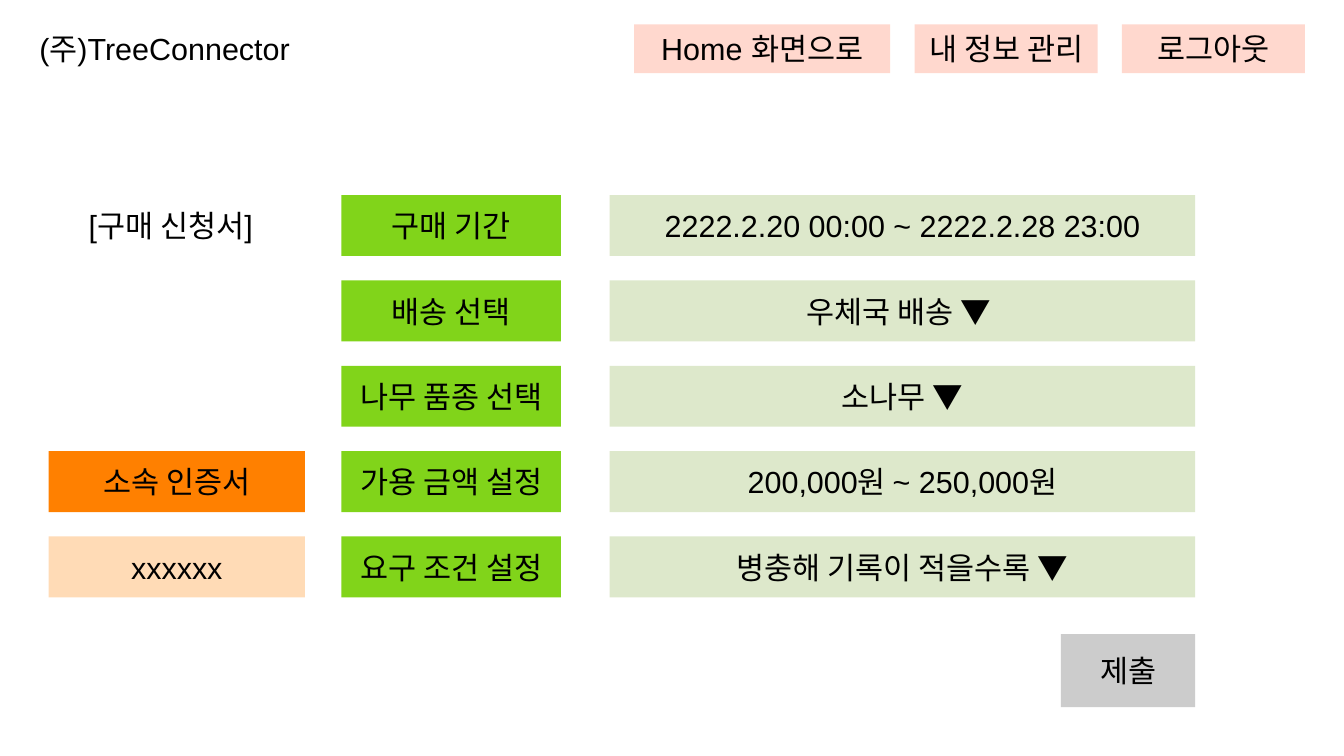
import pptx
import pptx.util
import pptx.dml.color
import pptx.enum.shapes
import pptx.enum.text
from dataclasses import dataclass

Inches = pptx.util.Inches


@dataclass(frozen=True)
class Theme:
    font: str = "Arial"
    alt: str = "Noto Sans"
    size: int = 18
    ink: str = "000000"
    white: str = "FFFFFF"
    pink: str = "FFD8CE"
    green: str = "81D41A"
    pale: str = "DDE8CB"
    orange: str = "FF8000"
    peach: str = "FFDBB6"
    gray: str = "CCCCCC"


class Page:
    def __init__(self, slide, theme):
        self.slide = slide
        self.theme = theme

    def box(self, left, top, width, height, fill, text, mark="", font=None):
        """Draw a filled box with a centred label and an optional mark."""
        shape = self.slide.shapes.add_shape(
            pptx.enum.shapes.MSO_SHAPE.RECTANGLE,
            Inches(left), Inches(top), Inches(width), Inches(height))
        shape.shadow.inherit = False
        shape.fill.solid()
        shape.fill.fore_color.rgb = pptx.dml.color.RGBColor.from_string(fill)
        shape.line.fill.background()

        frame = shape.text_frame
        frame.word_wrap = False
        frame.vertical_anchor = pptx.enum.text.MSO_ANCHOR.MIDDLE
        para = frame.paragraphs[0]
        para.alignment = pptx.enum.text.PP_ALIGN.CENTER
        para.font.name = font or self.theme.font
        para.font.size = pptx.util.Pt(self.theme.size)
        para.font.color.rgb = pptx.dml.color.RGBColor.from_string(self.theme.ink)
        para.add_run().text = text
        if mark:
            run = para.add_run()
            run.text = mark
            run.font.name = self.theme.alt


def main():
    deck = pptx.Presentation()
    deck.slide_width = Inches(11.02)
    deck.slide_height = Inches(6.2)
    theme = Theme()
    page = Page(deck.slides.add_slide(deck.slide_layouts[6]), theme)

    # Header: company name and menu
    page.box(0.3, 0.1, 2.1, 0.6, theme.white, "(주)TreeConnector")
    left, gap = 5.2, 0.2
    for text, width in (("Home 화면으로", 2.1), ("내 정보 관리", 1.5),
                        ("로그아웃", 1.5)):
        page.box(left, 0.2, width, 0.4, theme.pink, text)
        left += width + gap

    # Form: one label and one value per row
    first, step, high = 1.6, 0.7, 0.5
    rows = (
        ("구매 기간", "2222.2.20 00:00 ~ 2222.2.28 23:00", "", theme.font),
        ("배송 선택", "우체국 배송 ", "▼ ", theme.font),
        ("나무 품종 선택", "소나무 ", "▼", theme.font),
        ("가용 금액 설정", "200,000원 ~ 250,000원", "", theme.font),
        ("요구 조건 설정", "병충해 기록이 적을수록 ▼", "", theme.alt),
    )
    tops = [first + step * i for i in range(len(rows))]
    for top, (label, value, mark, font) in zip(tops, rows):
        page.box(2.8, top, 1.8, high, theme.green, label)
        page.box(5, top, 4.8, high, theme.pale, value, mark, font)

    # Side column: form title and certificate
    page.box(0.5, tops[0], 1.8, high, theme.white, "[구매 신청서]")
    page.box(0.4, tops[3], 2.1, high, theme.orange, "소속 인증서")
    page.box(0.4, tops[4], 2.1, high, theme.peach, "xxxxxx")

    # Submit button
    page.box(8.7, 5.2, 1.1, 0.6, theme.gray, "제출")

    deck.save("out.pptx")


if __name__ == "__main__":
    main()
